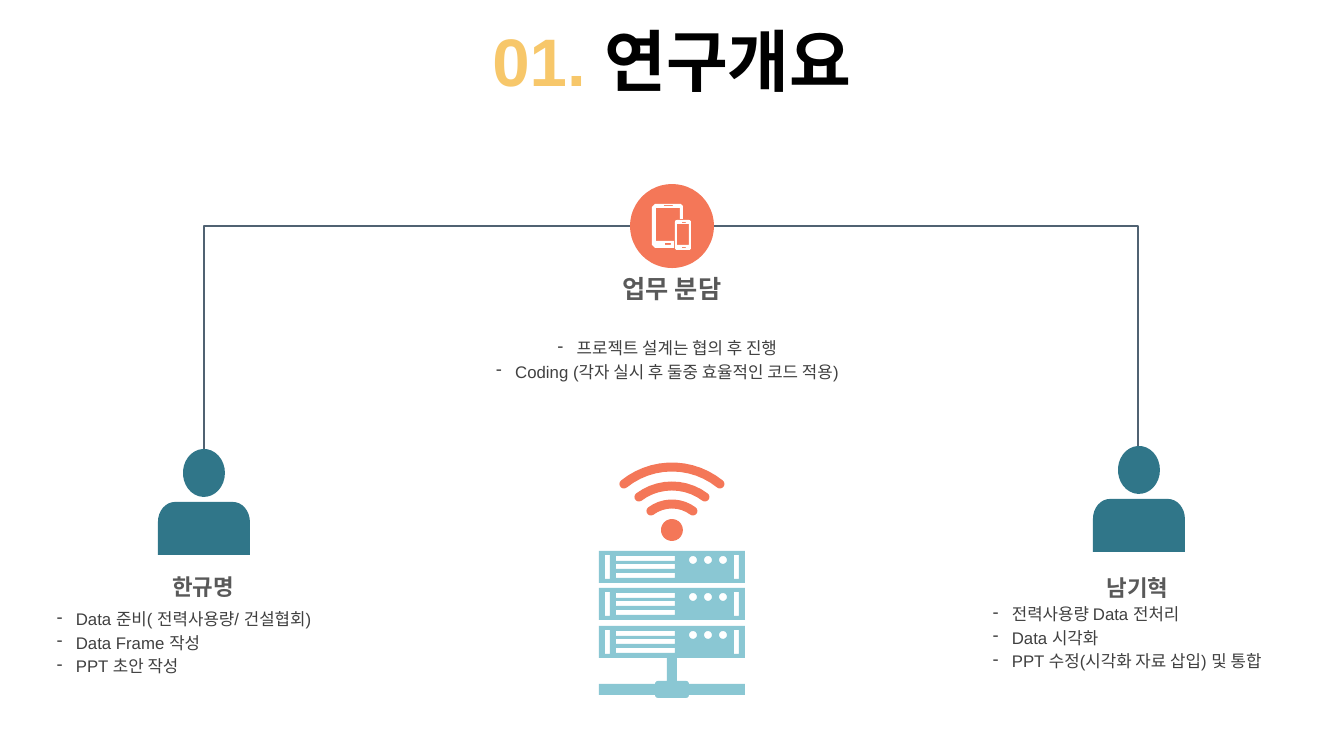
from math import asin, ceil, cos, degrees, radians, sin, sqrt

from lxml.etree import SubElement
from pptx import Presentation
from pptx.dml.color import RGBColor
from pptx.enum.shapes import MSO_CONNECTOR, MSO_SHAPE
from pptx.enum.text import MSO_ANCHOR, PP_ALIGN
from pptx.oxml.ns import qn
from pptx.util import Emu, Pt

PX = 914400 / 100.8
BLACK = RGBColor(0x00, 0x00, 0x00)
WHITE = RGBColor(0xFF, 0xFF, 0xFF)
YELLOW = RGBColor(0xF7, 0xC7, 0x6A)
CORAL = RGBColor(0xF4, 0x77, 0x58)
SKY = RGBColor(0x8A, 0xC7, 0xD3)
TEAL = RGBColor(0x30, 0x76, 0x89)
SLATE = RGBColor(0x50, 0x62, 0x72)
HEADING = RGBColor(0x59, 0x59, 0x59)
BODY = RGBColor(0x40, 0x40, 0x40)


def emu(n):
    return Emu(round(n * PX))


def box(x, y, w, h):
    return [(x, y), (x + w, y), (x + w, y + h), (x, y + h)]


def arc(cx, cy, rx, ry, start, stop):
    sweep = radians(stop - start)
    steps = ceil(abs(sweep) * sqrt(max(rx, ry)))
    angles = [radians(start) + sweep * i / steps for i in range(steps + 1)]
    return [(cx + rx * cos(a), cy + ry * sin(a)) for a in angles]


def oval(cx, cy, rx, ry):
    return arc(cx, cy, rx, ry, 0, 360)[:-1]


def rounded(x, y, w, h, r):
    return (arc(x + r, y + r, r, r, 180, 270) + arc(x + w - r, y + r, r, r, 270, 360)
            + arc(x + w - r, y + h - r, r, r, 0, 90) + arc(x + r, y + h - r, r, r, 90, 180))


def wave(cx, top, half, rise, t):
    r = (half ** 2 + rise ** 2) / (2 * rise)
    a = degrees(asin(half / r))
    cy, end = top + r, top + rise
    return (arc(cx, cy, r + t, r + t, -90 - a, -90 + a)
            + arc(cx + half, end, t, t, -90 + a, 90 + a)
            + arc(cx, cy, r - t, r - t, -90 + a, -90 - a)
            + arc(cx - half, end, t, t, 90 - a, 270 - a))


class Deck:
    """Holds the style and the current slide."""

    def __init__(self):
        self.font = "Arial"
        self.prs = Presentation()
        self.prs.slide_width, self.prs.slide_height = emu(1344), emu(756)
        self.s = self.prs.slides.add_slide(self.prs.slide_layouts[6])

    def text(self, x, y, w, h, paras, align=PP_ALIGN.CENTER, bullet=False, **frame):
        tf = self.s.shapes.add_textbox(*map(emu, (x, y, w, h))).text_frame
        for k, v in {"word_wrap": True, "vertical_anchor": MSO_ANCHOR.TOP, **frame}.items():
            setattr(tf, k, v)
        for i, runs in enumerate(paras):
            p = tf.paragraphs[0] if i == 0 else tf.add_paragraph()
            p.alignment = align
            for words, size, color, bold in runs:
                r = p.add_run()
                r.text = words
                for k, v in {"name": self.font, "size": Pt(size), "bold": bold}.items():
                    setattr(r.font, k, v)
                r.font.color.rgb = color
                p.space_before = Pt(size * 0.2)
            if bullet:
                pPr = p._p.get_or_add_pPr()
                pPr.set("marL", str(emu(19)))
                pPr.set("indent", str(-emu(19)))
                SubElement(pPr, qn("a:buChar")).set("char", "-")
        return tf

    def heading(self, x, y, w, words, size):
        self.text(x, y, w, 30, [[(words, size, HEADING, True)]])

    def bullets(self, x, y, w, h, lines, **style):
        self.text(x, y, w, h, [[(t, 12, BODY, False)] for t in lines], bullet=True, **style)

    def paint(self, sp, color):
        sp.shadow.inherit = False
        sp.fill.solid()
        sp.fill.fore_color.rgb = color
        sp.line.fill.background()

    def disc(self, x, y, d, color):
        self.paint(self.s.shapes.add_shape(MSO_SHAPE.OVAL, *map(emu, (x, y, d, d))), color)

    def outline(self, contours, color):
        scaled = [[(x * PX, y * PX) for x, y in c] for c in contours]
        fb = self.s.shapes.build_freeform(*scaled[0][0])
        for i, (first, *rest) in enumerate(scaled):
            if i:
                fb.move_to(*first)
            fb.add_line_segments(rest, close=True)
        self.paint(fb.convert_to_shape(), color)

    def elbow(self, x1, y1, x2, y2):
        c = self.s.shapes.add_connector(MSO_CONNECTOR.ELBOW, *map(emu, (x1, y1, x2, y2)))
        c.line.color.rgb = SLATE
        c.line.width = Pt(1.75)
        spPr = c._element.spPr
        spPr.find(qn("a:prstGeom")).set("prst", "bentConnector2")
        SubElement(spPr, qn("a:effectLst"))

    def person(self, cx, top):
        x, y = cx - 46, top + 53
        body = (arc(x + 17, y + 20, 17, 20, 180, 270) + arc(x + 75, y + 20, 17, 20, 270, 360)
                + [(x + 92, y + 53), (x, y + 53)])
        self.outline([body, oval(cx, top + 24, 21, 24)], TEAL)

    def devices(self):
        tablet = [(655, 204), (681, 204), (683, 206), (683, 219), (680, 219), (680, 208),
                  (656, 208), (656, 241), (674, 241), (674, 248), (655, 248), (652, 245), (652, 207)]
        slots = [(664, 205, 9, 1), (665, 243, 6, 2), (677, 224, 12, 21), (682, 222, 4, 1), (682, 247, 4, 1)]
        self.outline([tablet, rounded(675, 220, 16, 30, 2)] + [box(*b) for b in slots], WHITE)

    def wifi(self):
        waves = [(467, 48, 17), (486, 33, 11), (504, 21, 7)]
        self.outline([wave(672, *w, 4.5) for w in waves] + [oval(672, 530, 11, 11)], CORAL)

    def server(self):
        parts = [box(667, 658, 10, 23), rounded(655, 681, 34, 17, 3),
                 box(599, 684, 56, 11), box(689, 684, 56, 11)]
        for i in range(3):
            y = 551 + 75 * i // 2
            parts += [box(599, y, 146, 32), box(605, y + 4, 5, 24), box(734, y + 4, 5, 24)]
            for j in range(3):
                parts += [box(616, y + 5 + 17 * j // 2, 59, 5), oval(693 + 15 * j, y + 9, 4, 4)]
        self.outline(parts, SKY)


def main():
    d = Deck()
    d.heading(47, 568, 312, "한규명", 16)
    d.bullets(47, 604, 312, 77, ["Data 준비( 전력사용량/ 건설협회)", "Data Frame 작성", "PPT 초안 작성"],
              align=PP_ALIGN.LEFT)
    d.heading(983, 569, 309, "남기혁", 16)
    d.bullets(983, 599, 309, 76, ["전력사용량 Data 전처리", "Data 시각화", "PPT 수정(시각화 자료 삽입) 및 통합"],
              align=PP_ALIGN.LEFT)
    d.heading(498, 268, 348, "업무 분담", 18)
    d.bullets(372, 309, 591, 69, ["프로젝트 설계는 협의 후 진행", "Coding (각자 실시 후 둘중 효율적인 코드 적용)"],
              margin_top=emu(29))
    d.disc(630, 184, 84, CORAL)
    d.devices()
    d.elbow(714, 226, 1138, 471)
    d.elbow(630, 226, 204, 471)
    d.wifi()
    d.server()
    title = d.text(0, 23, 1344, 114, [[("01. ", 48, YELLOW, True), ("연구개요", 48, BLACK, True)]])
    title.paragraphs[0].line_spacing = 0.9
    title.paragraphs[0].space_before = Pt(0)
    d.person(204, 449)
    d.person(1139, 446)
    d.prs.save("out.pptx")


if __name__ == "__main__":
    main()
